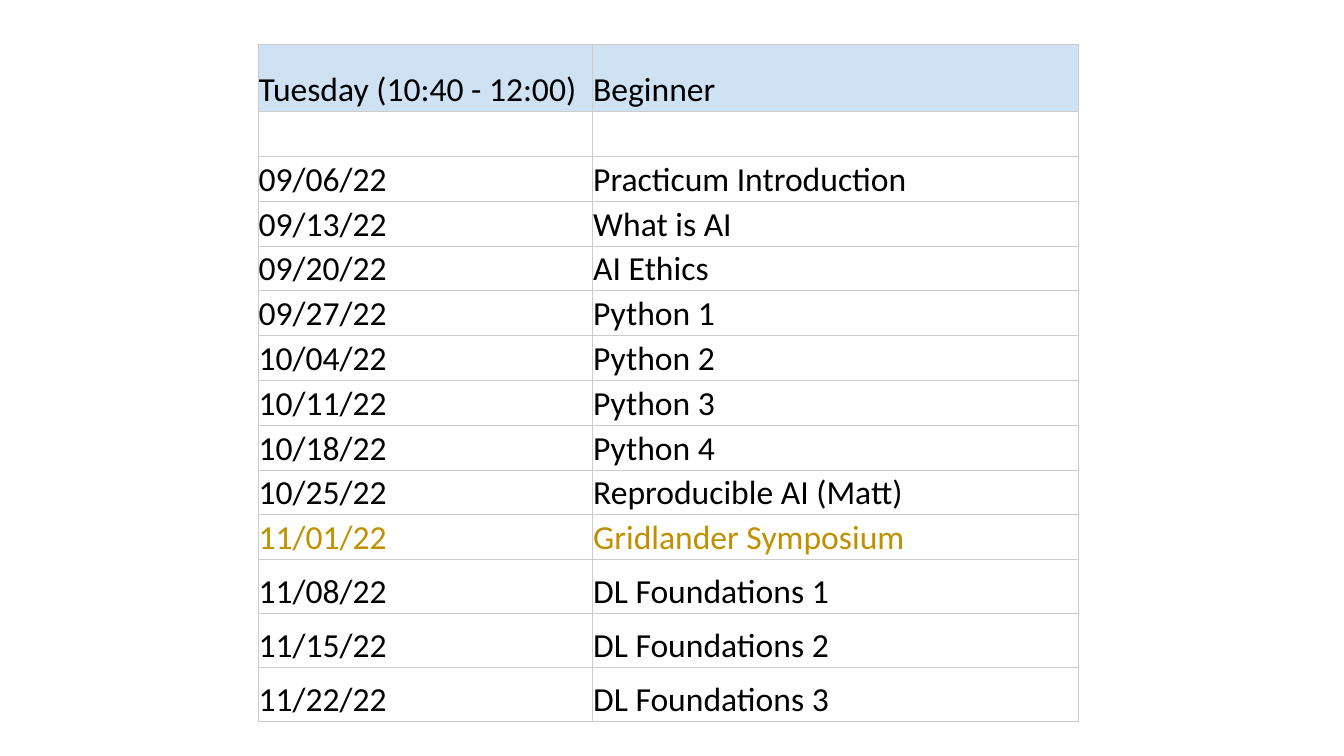
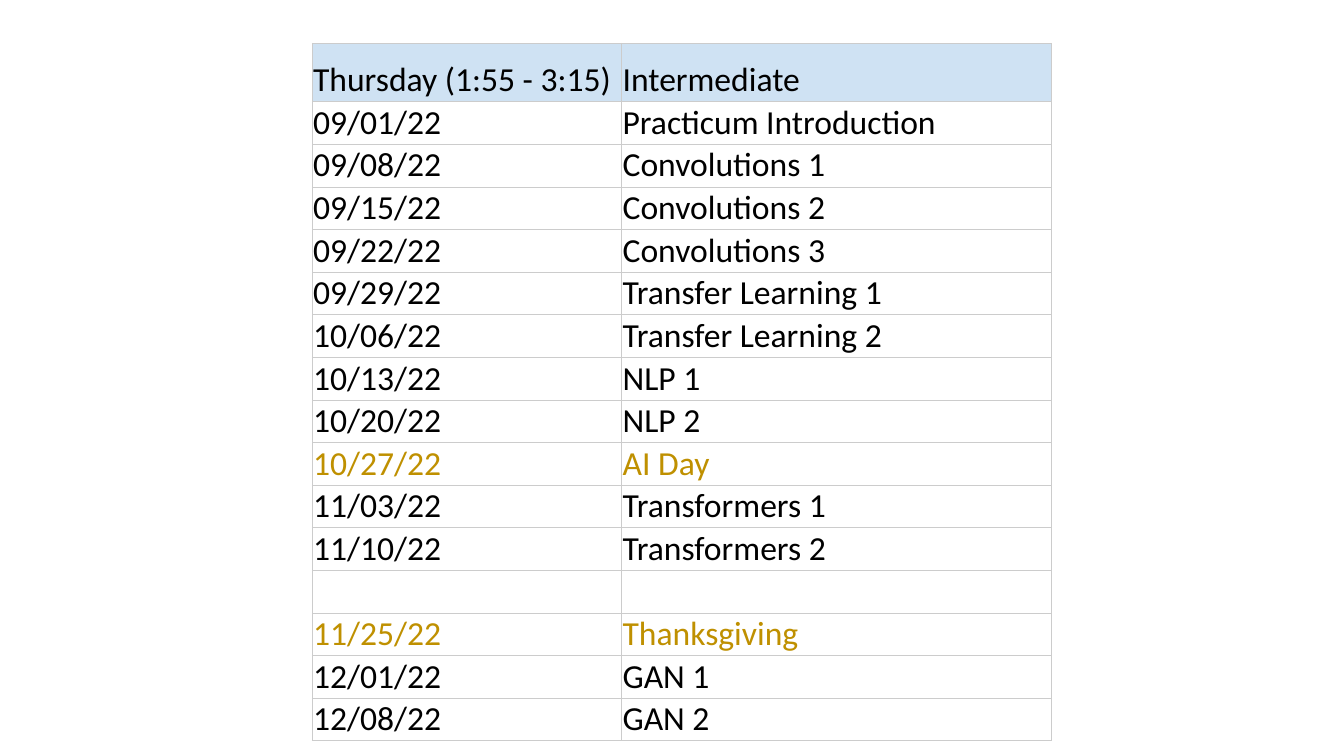
from dataclasses import dataclass

from lxml import etree
from pptx import Presentation
from pptx import util as u
from pptx.dml.color import RGBColor
from pptx.enum import text
from pptx.oxml.ns import qn


# Shared look
@dataclass(frozen=True)
class Theme:
    font: str = "Calibri"
    size: float = 24
    ink: str = "000000"
    gold: str = "BF9000"
    head: str = "CFE2F3"
    rule: str = "CCCCCC"
    line: float = 0.5
    inset: float = 0.02


THEME = Theme()
BLANK = ("", "")
EVENTS = {"Gridlander Symposium", "AI Day", "Thanksgiving"}

# Course plans
BEGIN = [
    ("Tuesday (10:40 - 12:00)", "Beginner"),
    BLANK,
    ("09/06/22", "Practicum Introduction"),
    ("09/13/22", "What is AI"),
    ("09/20/22", "AI Ethics"),
    ("09/27/22", "Python 1"),
    ("10/04/22", "Python 2"),
    ("10/11/22", "Python 3"),
    ("10/18/22", "Python 4"),
    ("10/25/22", "Reproducible AI (Matt)"),
    ("11/01/22", "Gridlander Symposium"),
    ("11/08/22", "DL Foundations 1"),
    ("11/15/22", "DL Foundations 2"),
    ("11/22/22", "DL Foundations 3"),
]
MIDDLE = [
    ("Thursday (1:55 - 3:15)", "Intermediate"),
    ("09/01/22", "Practicum Introduction"),
    ("09/08/22", "Convolutions 1"),
    ("09/15/22", "Convolutions 2"),
    ("09/22/22", "Convolutions 3"),
    ("09/29/22", "Transfer Learning 1"),
    ("10/06/22", "Transfer Learning 2"),
    ("10/13/22", "NLP 1"),
    ("10/20/22", "NLP 2"),
    ("10/27/22", "AI Day"),
    ("11/03/22", "Transformers 1"),
    ("11/10/22", "Transformers 2"),
    BLANK,
    ("11/25/22", "Thanksgiving"),
    ("12/01/22", "GAN 1"),
    ("12/08/22", "GAN 2"),
]


def style(item, **values):
    for name, value in values.items():
        setattr(item, name, value)


def border(cell):
    props = cell._tc.get_or_add_tcPr()
    for side in ("lnL", "lnR", "lnT", "lnB"):
        line = etree.SubElement(props, qn("a:" + side), w=str(u.Pt(THEME.line)))
        fill = etree.SubElement(line, qn("a:solidFill"))
        etree.SubElement(fill, qn("a:srgbClr"), val=THEME.rule)


def shade(cell, color):
    if color:
        cell.fill.solid()
        cell.fill.fore_color.rgb = RGBColor.from_string(color)
    else:
        cell.fill.background()


def write(cell, words, color):
    edge = u.Cm(THEME.inset)
    style(cell, vertical_anchor=text.MSO_ANCHOR.BOTTOM, margin_left=edge,
          margin_right=edge, margin_top=edge, margin_bottom=edge)
    if words:
        run = cell.text_frame.paragraphs[0].add_run()
        run.text = words
        style(run.font, name=THEME.font, size=u.Pt(THEME.size), bold=False)
        run.font.color.rgb = RGBColor.from_string(color)


def plan(deck, rows, left, top, widths, heights):
    """Add one slide with a course plan; lengths are in centimetres."""
    slide = deck.slides.add_slide(deck.slide_layouts[6])
    frame = slide.shapes.add_table(
        len(rows), len(widths), u.Cm(left), u.Cm(top),
        u.Cm(sum(widths)), u.Cm(sum(heights)))
    table = frame.table
    style(table, first_row=False, horz_banding=False)
    for col, width in zip(table.columns, widths):
        col.width = u.Cm(width)
    for index, (row, height, words) in enumerate(zip(table.rows, heights, rows)):
        row.height = u.Cm(height)
        color = THEME.gold if words[1] in EVENTS else THEME.ink
        for cell, label in zip(row.cells, words):
            border(cell)
            shade(cell, THEME.head if index == 0 else None)
            write(cell, label, color)


def main():
    deck = Presentation()
    style(deck, slide_width=u.Cm(33.87), slide_height=u.Cm(19.05))

    # Tuesday: the last three rows are taller
    plan(deck, BEGIN, 6.5, 1.12, (8.43, 12.24),
         [1.69] + [1.13] * 10 + [1.36] * 3)

    # Thursday: equal rows below the heading
    plan(deck, MIDDLE, 7.87, 1.09, (7.8, 10.82), [1.47] + [1.07] * 15)

    deck.save("out.pptx")


if __name__ == "__main__":
    main()
